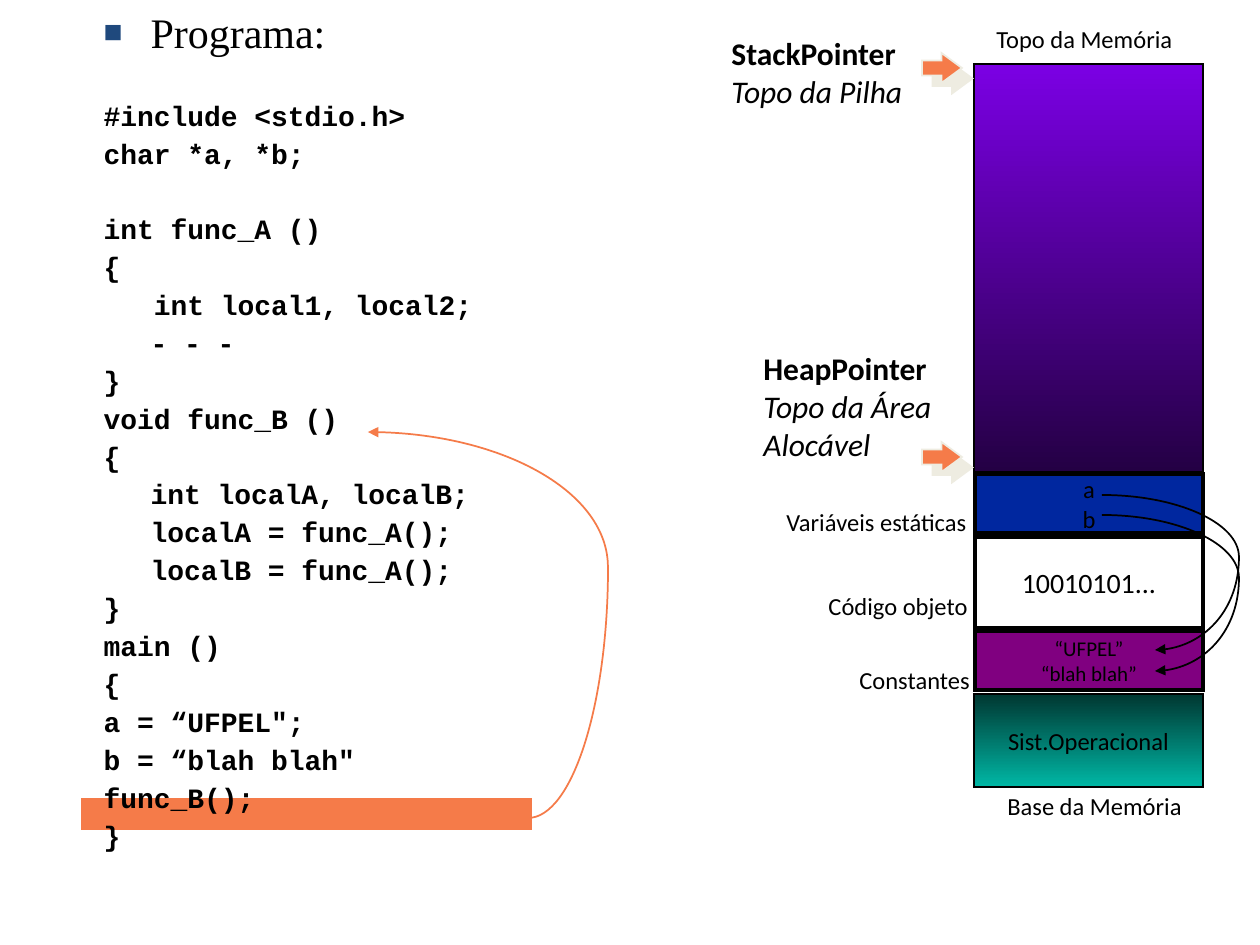
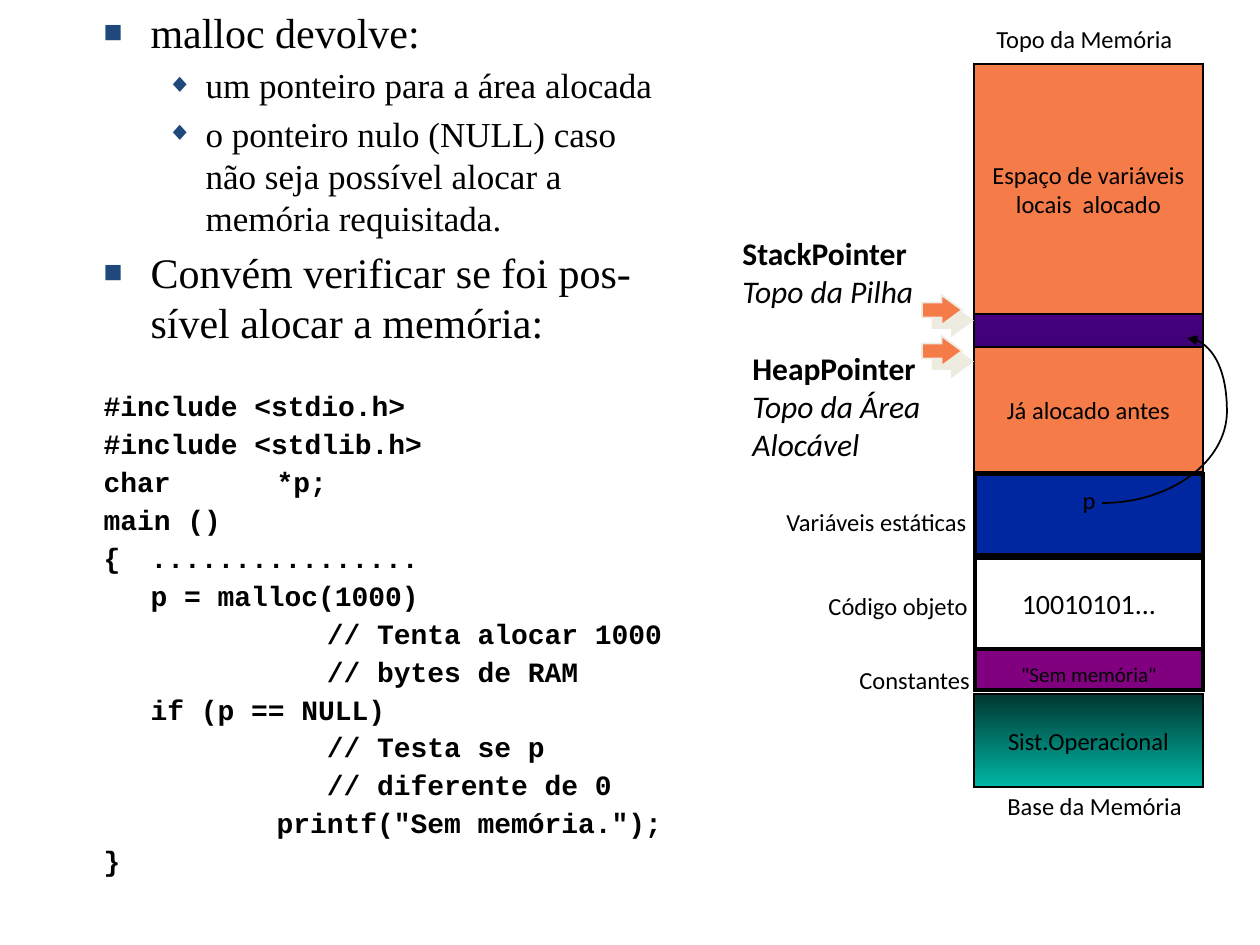
from dataclasses import dataclass

from lxml import etree
from pptx import Presentation
from pptx import util as u
from pptx.dml.color import RGBColor
from pptx.enum import shapes as kinds, text as align
from pptx.oxml import ns

PX = 914400 / 126


@dataclass(frozen=True)
class Theme:
    black: str = "000000"
    white: str = "FFFFFF"
    accent: str = "F57B49"
    bullet: str = "1F497D"
    shadow: str = "EEECE1"
    static: str = "00279F"
    constant: str = "800080"
    free: tuple = ("7B00E4", "240044")
    system: tuple = ("003731", "00B7A5")
    label_font: str = "Calibri"
    code_font: str = "Courier New"
    list_font: str = "Times New Roman"
    small: int = 12
    label: int = 14
    code: int = 16
    pointer: int = 18
    item: int = 20
    heading: int = 24


THEME = Theme()

# Paragraph styles: font, size, bold, bullet, left margin, hanging (px), space before (pt)
STYLES = {
    "heading": (THEME.list_font, THEME.heading, False, "■", 47, 47, 4.6),
    "item": (THEME.list_font, THEME.item, False, "◆", 102, 39, 3.8),
    "code": (THEME.code_font, THEME.code, True, None, 47, 47, 2.5),
    "code after gap": (THEME.code_font, THEME.code, True, None, 47, 47, 23.75),
}

# Each section: style of its first line, style of the others, lines
PROGRAM = [
    ("heading", "heading", ["Programa:"]),
    ("code after gap", "code", ["#include <stdio.h>", "char *a, *b;"]),
    ("code after gap", "code", [
        "int func_A ()",
        "{",
        "   int local1, local2;",
        "\t- - -",
        "}",
        "void func_B ()",
        "{",
        "\tint localA, localB;",
        "\tlocalA = func_A();",
        "\tlocalB = func_A();",
        "}",
        "main ()",
        "{",
        "a = “UFPEL\";",
        "b = “blah blah\"",
        "func_B();",
        "}",
    ]),
]
MALLOC = [
    ("heading", "heading", ["malloc devolve:"]),
    ("item", "item", [
        "um ponteiro para a área alocada",
        "o ponteiro nulo (NULL) caso não seja possível alocar a memória requisitada.",
    ]),
    ("heading", "heading", ["Convém verificar se foi pos-sível alocar a memória:"]),
    ("code after gap", "code", [
        "#include <stdio.h>",
        "#include <stdlib.h>",
        "char \t*p;",
        "main ()",
        "{\t................",
        "\tp = malloc(1000)",
        "\t\t   // Tenta alocar 1000",
        "\t\t   // bytes de RAM",
        "\tif (p == NULL)",
        "\t\t   // Testa se p",
        "\t\t   // diferente de 0",
        "\t\tprintf(\"Sem memória.\");",
        "}",
    ]),
]

# Memory labels: text, left, top, width
MEMORY_LABELS = [
    ("Topo da Memória", 984, 18, 202),
    ("Base da Memória", 995, 785, 202),
    ("Variáveis estáticas", 774, 501, 223),
    ("Código objeto", 816, 585, 223),
    ("Constantes", 847, 659, 223),
]
STACK_TEXT = "StackPointer\nTopo da Pilha"
HEAP_TEXT = "HeapPointer\nTopo da Área\nAlocável"
MEMORY_LEFT, MEMORY_RIGHT = 974, 1203
ANCHORS = align.MSO_ANCHOR

# Blocks: text, top, height, fill, outline pt, text size, anchor, vertical inset
SYSTEM = ("Sist.Operacional", 694, 93, THEME.system, 1, THEME.label, ANCHORS.MIDDLE, 6)
FREE = ("", 64, 408, THEME.free, 1, THEME.label, ANCHORS.MIDDLE, 6)


def object_code(top):
    return ("10010101...", top, 91, THEME.white, 2, THEME.code, ANCHORS.MIDDLE, 6)


# Pointers: text, left, top, width, height, top of its arrow
# Loops: start, rightmost point, arrow end, colour
SLIDES = [
    {
        "body": PROGRAM,
        "body_size": (567, 872),
        "highlight": (82, 799, 449, 30),
        "blocks": [
            SYSTEM,
            ("“UFPEL”\n“blah blah”", 631, 59, THEME.constant, 2, THEME.small,
             ANCHORS.MIDDLE, 6),
            object_code(537),
            FREE,
            ("a\nb", 474, 59, THEME.static, 2, THEME.label, ANCHORS.MIDDLE, 6),
        ],
        "pointers": [
            (HEAP_TEXT, 751, 343, 198, 126, 442),
            (STACK_TEXT, 719, 28, 205, 88, 53),
        ],
        "loops": [
            ((1102, 495), (1239, 557), (1155, 650), THEME.black),
            ((1102, 515), (1239, 578), (1155, 671), THEME.black),
            ((528, 818), (608, 567), (368, 432), THEME.accent),
        ],
    },
    {
        "body": MALLOC,
        "body_size": (591, 892),
        "highlight": None,
        "blocks": [
            SYSTEM,
            ("\"Sem memória\"", 631, 59, THEME.constant, 2, THEME.small,
             ANCHORS.BOTTOM, 3),
            object_code(558),
            FREE,
            ("p", 474, 81, THEME.static, 2, THEME.label, ANCHORS.TOP, 11),
            ("Já alocado antes", 347, 125, THEME.accent, 1, THEME.label,
             ANCHORS.MIDDLE, 6),
            ("Espaço de variáveis\nlocais  alocado", 64, 250, THEME.accent, 1,
             THEME.label, ANCHORS.MIDDLE, 6),
        ],
        "pointers": [
            (HEAP_TEXT, 740, 343, 198, 126, 336),
            (STACK_TEXT, 730, 228, 205, 88, 295),
        ],
        "loops": [((1102, 503), (1227, 411), (1187, 338), THEME.black)],
    },
]


def emu(*lengths):
    return [u.Emu(round(length * PX)) for length in lengths]


def add_element(parent, tag, **attributes):
    values = {name: str(value) for name, value in attributes.items()}
    return etree.SubElement(parent, ns.qn(tag), values)


def format_runs(paragraph, font, size, bold=False, italic=False):
    for run in paragraph.runs:
        run.font.name = font
        run.font.size = u.Pt(size)
        run.font.bold = bold
        run.font.italic = italic
        run.font.color.rgb = RGBColor.from_string(THEME.black)


def paint(shape, fill, line, width=1):
    """Fill with one colour, or from top to bottom with a pair of colours."""
    shape.shadow.inherit = False
    if isinstance(fill, tuple):
        shape.fill.gradient()
        shape.fill.gradient_angle = 270
        for stop, colour, position in zip(shape.fill.gradient_stops, fill, (0, 1)):
            stop.color.rgb = RGBColor.from_string(colour)
            stop.position = position
    elif fill:
        shape.fill.solid()
        shape.fill.fore_color.rgb = RGBColor.from_string(fill)
    else:
        shape.fill.background()
    shape.line.color.rgb = RGBColor.from_string(line)
    shape.line.width = u.Pt(width)
    add_element(shape.line._get_or_add_ln(), "a:miter", lim=800000)


def style_paragraph(paragraph, style, is_first):
    font, size, bold, bullet, margin, hanging, before = STYLES[style]
    paragraph.level = 1 if style == "item" else 0
    properties = paragraph._p.get_or_add_pPr()
    for name, length in (("marL", margin), ("indent", -hanging), ("defTabSz", 126)):
        properties.set(name, str(emu(length)[0]))
    if bullet:
        colour = add_element(properties, "a:buClr")
        add_element(colour, "a:srgbClr", val=THEME.bullet)
        add_element(properties, "a:buSzPct", val=75000)
        add_element(properties, "a:buChar", char=bullet)
    else:
        add_element(properties, "a:buNone")
    paragraph.alignment = align.PP_ALIGN.LEFT
    paragraph.space_before = u.Pt(0 if is_first else before)
    format_runs(paragraph, font, size, bold)


def fill_body(slide, sections, size):
    title, body = slide.shapes.title, slide.placeholders[1]
    title.element.getparent().remove(title.element)
    body.left, body.top, body.width, body.height = emu(91, 0, *size)
    lines, styles = [], []
    for first_style, other_style, section in sections:
        lines += section
        styles += [first_style] + [other_style] * (len(section) - 1)
    frame = body.text_frame
    frame.text = "\n".join(lines)
    frame.word_wrap = True
    frame.auto_size = align.MSO_AUTO_SIZE.NONE
    frame.vertical_anchor = ANCHORS.TOP
    for index, (paragraph, style) in enumerate(zip(frame.paragraphs, styles)):
        style_paragraph(paragraph, style, index == 0)


def add_highlight(slide, box):
    bar = slide.shapes.add_shape(kinds.MSO_SHAPE.RECTANGLE, *emu(*box))
    paint(bar, THEME.accent, THEME.accent)
    slide.shapes._spTree.insert(2, bar._element)


def add_block(slide, words, top, height, fill, outline, size, anchor, inset):
    left = MEMORY_LEFT + outline - 1
    box = emu(left, top, MEMORY_RIGHT - left, height)
    block = slide.shapes.add_shape(kinds.MSO_SHAPE.RECTANGLE, *box)
    paint(block, fill, THEME.black, outline)
    frame = block.text_frame
    frame.text = words
    frame.word_wrap = False
    frame.vertical_anchor = anchor
    frame.margin_top = frame.margin_bottom = emu(inset)[0]
    for paragraph in frame.paragraphs:
        paragraph.alignment = align.PP_ALIGN.CENTER
        format_runs(paragraph, THEME.label_font, size)


def add_label(slide, words, left, top, width, height=42, wrap=True):
    label = slide.shapes.add_textbox(*emu(left, top, width, height))
    label.text_frame.text = words
    label.text_frame.word_wrap = wrap
    for paragraph in label.text_frame.paragraphs:
        format_runs(paragraph, THEME.label_font, THEME.label)
    return label


def add_pointer(slide, words, left, top, width, height, arrow_top):
    label = add_label(slide, words, left, top, width, height, wrap=False)
    for index, paragraph in enumerate(label.text_frame.paragraphs):
        format_runs(paragraph, THEME.label_font, THEME.pointer, index == 0, index > 0)
    arrow = slide.shapes.add_shape(
        kinds.MSO_SHAPE.RIGHT_ARROW, *emu(922, arrow_top, 40, 30))
    arrow.adjustments[0] = 0.5
    arrow.adjustments[1] = 0.68
    paint(arrow, THEME.accent, THEME.shadow)
    effects = arrow._element.spPr.find(ns.qn("a:effectLst"))
    shadow = add_element(effects, "a:outerShdw", blurRad=0, dist=u.Pt(8.5),
                         dir=45 * 60000, algn="ctr", rotWithShape=0)
    add_element(shadow, "a:srgbClr", val=THEME.shadow)


def add_quarter_arc(slide, tip, apex, colour):
    """Draw the elliptic quarter that leaves tip sideways and meets apex upright."""
    builder = slide.shapes.build_freeform(*emu(*tip))
    builder.add_line_segments([emu(*apex)], close=False)
    arc = builder.convert_to_shape()
    paint(arc, None, colour)
    segment = next(arc._element.iter(ns.qn("a:lnTo")))
    outline = segment.getparent()
    (x0, y0), (x1, y1) = [(int(point.get("x")), int(point.get("y")))
                          for point in outline.iter(ns.qn("a:pt"))]
    outline.remove(segment)
    curve = add_element(outline, "a:cubicBezTo")
    bend = 0.55
    for x, y in ((x0 + bend * (x1 - x0), y0), (x1, y1 + bend * (y0 - y1)), (x1, y1)):
        add_element(curve, "a:pt", x=round(x), y=round(y))
    return arc


def add_loop(slide, start, apex, end, colour):
    add_quarter_arc(slide, start, apex, colour)
    arrow = add_quarter_arc(slide, end, apex, colour)
    add_element(arrow.line._get_or_add_ln(), "a:headEnd", type="triangle")


def build_slide(presentation, content):
    slide = presentation.slides.add_slide(presentation.slide_layouts[1])
    fill_body(slide, content["body"], content["body_size"])
    if content["highlight"]:
        add_highlight(slide, content["highlight"])
    for block in content["blocks"]:
        add_block(slide, *block)
    for pointer in content["pointers"]:
        add_pointer(slide, *pointer)
    for label in MEMORY_LABELS:
        add_label(slide, *label)
    for loop in content["loops"]:
        add_loop(slide, *loop)


def main():
    presentation = Presentation()
    presentation.slide_width, presentation.slide_height = emu(1260, 945)
    for content in SLIDES:
        build_slide(presentation, content)
    presentation.save("out.pptx")


if __name__ == "__main__":
    main()
